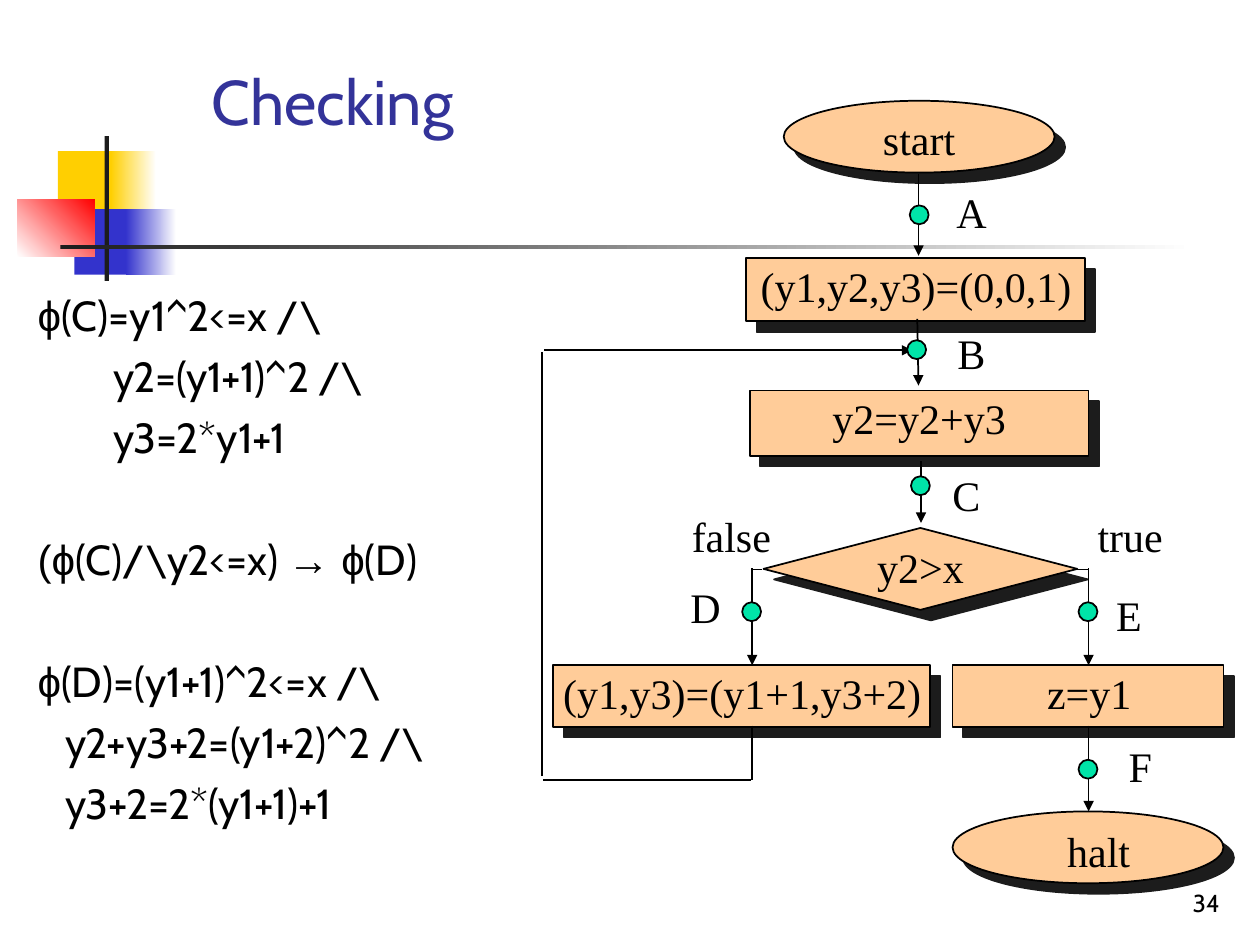
"""Build the flowchart slide that checks the loop conditions of a program."""
from lxml import etree
from pptx import Presentation
from pptx import util as u
from pptx.dml import color as c
from pptx.enum import shapes as s, text as t
from pptx.oxml import ns

deck = Presentation()
deck.slide_width, deck.slide_height = u.Inches(10), u.Inches(7.5)
page = deck.slides.add_slide(deck.slide_layouts[6])
cell = deck.slide_width / 100


def grid(*lengths):
    """Turn columns and rows of the grid into slide lengths."""
    return [round(length * cell) for length in lengths]


def paint(code):
    """Turn a hex string into a colour."""
    return c.RGBColor.from_string(code)


RECT, OVAL, DIAMOND = s.MSO_SHAPE.RECTANGLE, s.MSO_SHAPE.OVAL, s.MSO_SHAPE.DIAMOND
LEFT, CENTER, RIGHT = t.PP_ALIGN.LEFT, t.PP_ALIGN.CENTER, t.PP_ALIGN.RIGHT
TOP, MIDDLE, BOTTOM = t.MSO_ANCHOR.TOP, t.MSO_ANCHOR.MIDDLE, t.MSO_ANCHOR.BOTTOM
BLACK, DARK, PEACH, GREEN = "000000", "1C1C1C", "FFCC99", "00E4A8"

ornaments = [
    ((4.6, 12, 4.8, 5.2), ["FFCF01"], 0),
    ((8.8, 12, 3.6, 5.2), ["FFCF01", "FFFFFF"], 0),
    ((5.9, 16.6, 4.6, 5.2), ["3333CC"], 0),
    ((10, 16.6, 4, 5.2), ["3333CC", "FFFFFF"], 0),
    ((1.4, 15.8, 6.1, 4.6), ["FFFFFF", "FF0000"], 45),
    ((8.3, 10.8, 0.35, 11.5), [DARK], 0),
    ((4.8, 19.45, 90, 0.35), [DARK, "FFFFFF"], 0),
]
for place, colours, angle in ornaments:
    ornament = page.shapes.add_shape(RECT, *grid(*place))
    ornament.shadow.inherit = False
    ornament.line.fill.background()
    if len(colours) == 1:
        ornament.fill.solid()
        ornament.fill.fore_color.rgb = paint(colours[0])
    else:
        ornament.fill.gradient()
        ornament.fill.gradient_angle = angle
        for stop, colour in zip(ornament.fill.gradient_stops, colours):
            stop.color.rgb = paint(colour)

steps = [
    (OVAL, (62.2, 8, 21.5, 5.7)),
    (RECT, (59.2, 20.5, 26.9, 5)),
    (RECT, (59.5, 31, 26.9, 5.2)),
    (DIAMOND, (60.6, 41.9, 24.9, 6.5)),
    (RECT, (43.9, 52.8, 29.9, 4.9)),
    (RECT, (75.6, 52.8, 21.5, 4.9)),
    (OVAL, (75.6, 64.4, 21.5, 5.7)),
]
for kind, place in steps:
    step = page.shapes.add_shape(kind, *grid(*place))
    step.fill.solid()
    step.fill.fore_color.rgb = paint(PEACH)
    step.line.color.rgb = paint(BLACK)
    step.line.width = u.Pt(1)
    step.shadow.inherit = False
    effects = step._element.spPr.find(ns.qn("a:effectLst"))
    shadow = etree.SubElement(effects, ns.qn("a:outerShdw"), dist=str(u.Pt(8.5)),
                              dir="2700000", algn="ctr", rotWithShape="0")
    etree.SubElement(shadow, ns.qn("a:srgbClr"), val=DARK)

links = [
    ((72.9, 13.8, 72.9, 20.3), True),
    ((72.8, 25.3, 72.9, 30.6), True),
    ((73.1, 36.6, 73.1, 41.5), True),
    ((60.5, 45.2, 59.7, 45.2), False),
    ((59.7, 45.1, 59.7, 52.8), True),
    ((85.5, 45.2, 86.4, 45.2), False),
    ((86.4, 45.1, 86.4, 52.8), True),
    ((86.4, 57.6, 86.4, 64.4), True),
    ((59.7, 57.6, 59.7, 61.9), False),
    ((59.6, 61.9, 43.1, 61.9), False),
    ((43, 61.6, 43, 27.9), False),
    ((43.2, 27.8, 72.4, 27.8), True),
]
for ends, arrow in links:
    link = page.shapes.add_connector(s.MSO_CONNECTOR.STRAIGHT, *grid(*ends))
    link.line.color.rgb = paint(BLACK)
    link.line.width = u.Pt(1)
    properties = link._element.spPr
    if arrow:
        etree.SubElement(properties.find(ns.qn("a:ln")), ns.qn("a:tailEnd"), type="triangle")
    etree.SubElement(properties, ns.qn("a:effectLst"))

dots = [(72.2, 16.3), (72, 27), (72.3, 37.8), (58.9, 47.8), (85.6, 47.8), (85.6, 60.3)]
for place in dots:
    dot = page.shapes.add_shape(OVAL, *grid(*place, 1.5, 1.5))
    dot.shadow.inherit = False
    dot.fill.solid()
    dot.fill.fore_color.rgb = paint(GREEN)
    dot.line.color.rgb = paint(BLACK)
    dot.line.width = u.Pt(1)

chart_style = ("Times New Roman", 24, BLACK, CENTER, TOP, 0)
chart_labels = [
    ("start", 69.1, 8.5, 7.7), ("(y1,y2,y3)=(0,0,1)", 59.4, 20.2, 26.6),
    ("y2=y2+y3", 65.1, 30.7, 15.7), ("y2>x", 68.6, 42.5, 8.9),
    ("(y1,y3)=(y1+1,y3+2)", 43.7, 52.5, 30.4), ("z=y1", 82.1, 52.5, 8.7),
    ("halt", 83.7, 65, 7), ("false", 53.9, 40, 8.3), ("true", 86.1, 40, 7.2),
    ("A", 74.9, 14.3, 4.4), ("B", 75, 25.5, 4.2), ("C", 74.6, 36.8, 4.2),
    ("D", 53.8, 45.7, 4.4), ("E", 87.6, 46.3, 4), ("F", 88.6, 58.3, 3.8),
]
labels = [(words, (left, top, width, 5), chart_style)
          for words, left, top, width in chart_labels]
labels += [
    ("Checking", (15.8, 1, 44.8, 14), ("Cabin", 36, "333399", LEFT, MIDDLE, 1)),
    ("34", (77, 68.3, 20.8, 5), ("Cabin", 14, BLACK, RIGHT, BOTTOM, 1)),
]
for words, place, (font, size, colour, align, anchor, margin) in labels:
    box = page.shapes.add_textbox(*grid(*place))
    frame = box.text_frame
    frame.word_wrap = align != CENTER
    frame.vertical_anchor = anchor
    frame.margin_left, frame.margin_right = grid(margin, margin)
    para = frame.paragraphs[0]
    para.text = words
    para.alignment = align
    para.font.name, para.font.size = font, u.Pt(size)
    para.font.color.rgb = paint(colour)

conditions = [
    (0, 6, [("ϕ", "Arial"), ("(C)=y1^2<=x /\\", "Cabin")]),
    (6, 6, [("y2=(y1+1)^2 /\\", "Cabin")]),
    (6, 6, [("y3=2*y1+1", "Cabin")]),
    (0, 41, [("(ϕ", "Arial"), ("(C)/\\y2<=x) ", "Cabin"), ("→ ϕ", "Arial"), ("(D)", "Cabin")]),
    (0, 41, [("ϕ", "Arial"), ("(D)=(y1+1)^2<=x /\\", "Cabin")]),
    (2.2, 6, [("y2+y3+2=(y1+2)^2 /\\", "Cabin")]),
    (2.2, 6, [("y3+2=2*(y1+1)+1", "Cabin")]),
]
box = page.shapes.add_textbox(*grid(2, 22.5, 46.3, 47.7))
box.text_frame.word_wrap = True
for index, (indent, gap, parts) in enumerate(conditions):
    para = box.text_frame.add_paragraph() if index else box.text_frame.paragraphs[0]
    para._p.get_or_add_pPr().set("marL", str(grid(indent)[0]))
    para.space_before = u.Pt(gap)
    para.font.size = u.Pt(24)
    para.font.color.rgb = paint(BLACK)
    for words, font in parts:
        span = para.add_run()
        span.text = words
        span.font.name = font

deck.save("out.pptx")
